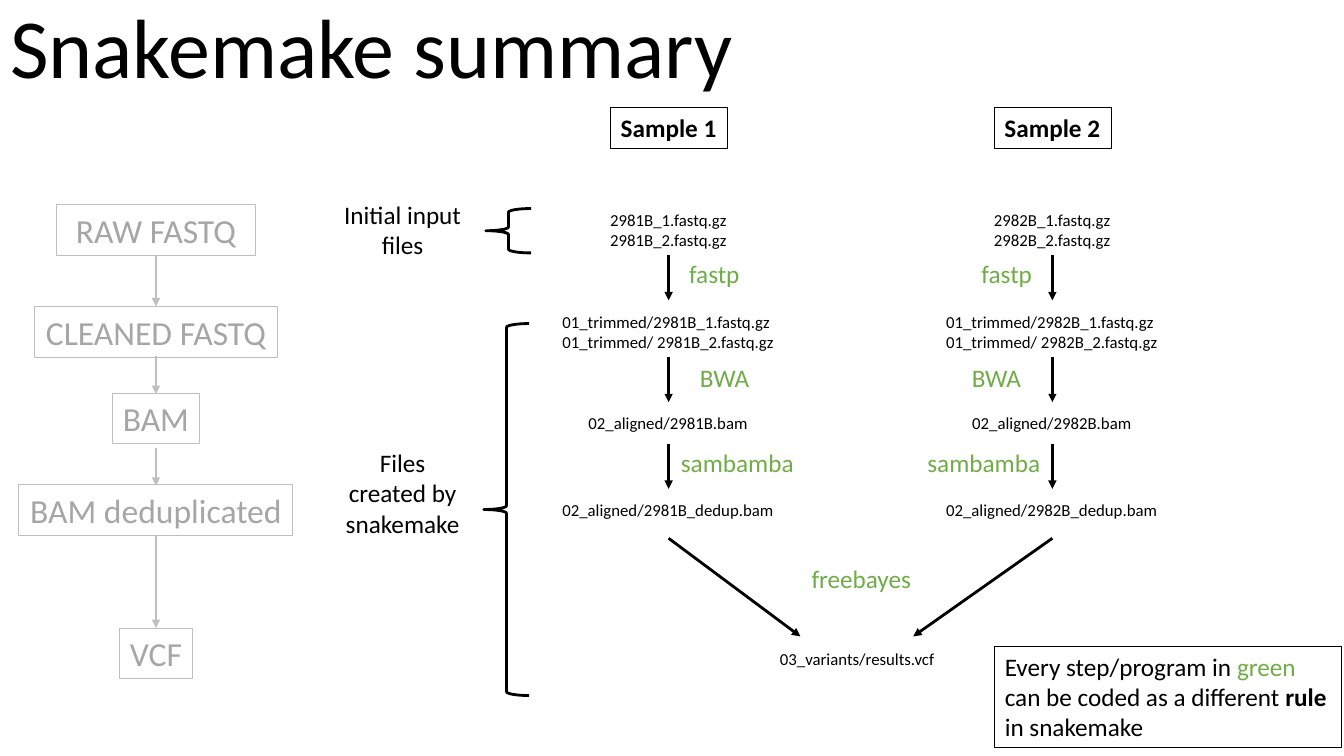
"""Build the Snakemake summary slide."""
import dataclasses
from typing import Optional

import pptx
import pptx.dml.color
import pptx.enum.shapes
import pptx.enum.text
import pptx.oxml
import pptx.oxml.ns
import pptx.shapes.base
import pptx.slide
import pptx.text.text
import pptx.util

Pt = pptx.util.Pt
Align = pptx.enum.text.PP_ALIGN
Anchor = pptx.enum.text.MSO_ANCHOR
Shape = pptx.enum.shapes.MSO_SHAPE


@dataclasses.dataclass(frozen=True)
class Theme:
    font: str = "Calibri"
    ink: str = "000000"
    tool: str = "70AD47"
    faded_text: str = "A6A6A6"
    faded_line: str = "BFBFBF"
    title: float = 60
    stage: float = 24
    body: float = 18
    file: float = 12
    border: float = 0.75
    stroke: float = 2


THEME = Theme()


@dataclasses.dataclass(frozen=True)
class Run:
    text: str
    size: float = THEME.body
    color: str = THEME.ink
    bold: bool = False


@dataclasses.dataclass(frozen=True)
class Label:
    center: float
    top: float
    width: float
    height: float
    paragraphs: tuple[tuple[Run, ...], ...]
    align: Align = Align.LEFT
    wrap: bool = False
    border: Optional[str] = None


@dataclasses.dataclass(frozen=True)
class Arrow:
    x1: float
    y1: float
    x2: float
    y2: float
    color: str = THEME.ink


@dataclasses.dataclass(frozen=True)
class Step:
    top: float
    width: float
    files: tuple[str, ...]


@dataclasses.dataclass(frozen=True)
class Tool:
    name: str
    top: float
    arrow_top: float
    offset: float


@dataclasses.dataclass(frozen=True)
class Sample:
    name: str
    code: str
    center: float
    side: int
    merge_x: float


@dataclasses.dataclass(frozen=True)
class Stage:
    name: str
    top: float
    width: float


@dataclasses.dataclass(frozen=True)
class Bracket:
    text: str
    text_top: float
    text_height: float
    left: float
    top: float
    height: float


STEPS = (
    Step(146.2, 98.6, ("{}_1.fastq.gz", "{}_2.fastq.gz")),
    Step(218.9, 167, ("01_trimmed/{}_1.fastq.gz", "01_trimmed/ {}_2.fastq.gz")),
    Step(291.6, 129.6, ("02_aligned/{}.bam",)),
    Step(353.5, 167, ("02_aligned/{}_dedup.bam",)),
)
TOOLS = (
    Tool("fastp", 180.7, 182.2, 32.6),
    Tool("BWA", 254.9, 254.9, 40),
    Tool("sambamba", 316.1, 316.8, 49),
)
SAMPLES = (
    Sample("Sample 1", "2981B", 477.6, 1, 571.7),
    Sample("Sample 2", "2982B", 751.7, -1, 652.3),
)
STAGES = (
    Stage("RAW FASTQ", 146.2, 142.6),
    Stage("CLEANED FASTQ", 218.9, 173.5),
    Stage("BAM", 280.8, 61.9),
    Stage("BAM deduplicated", 346.3, 195.8),
    Stage("VCF", 448.6, 51.8),
)
STAGE_X = 111.4
STAGE_ARROWS = ((182.2, 218.9), (254.2, 281.5), (319.7, 347), (383, 448.6))
BRACKETS = (
    Bracket("Files created by snakemake", 316.1, 72.7, 345.6, 231.1, 265.7),
    Bracket("Initial input files", 139, 50.9, 347, 149, 31.7),
)


def rgb(color: str) -> pptx.dml.color.RGBColor:
    """Return the colour for a hex string."""
    return pptx.dml.color.RGBColor.from_string(color)


def add_run(p: pptx.text.text._Paragraph, run: Run) -> None:
    """Append one formatted run to a paragraph."""
    r = p.add_run()
    r.text = run.text
    r.font.name = THEME.font
    r.font.size = Pt(run.size)
    r.font.bold = run.bold
    r.font.color.rgb = rgb(run.color)


def add_label(s: pptx.slide.Slide, label: Label) -> None:
    """Draw a text label, with a frame when it has a border."""
    box = (Pt(label.center - label.width / 2), Pt(label.top), Pt(label.width), Pt(label.height))
    if label.border:
        sp = s.shapes.add_shape(Shape.RECTANGLE, *box)
        sp.shadow.inherit = False
        sp.fill.background()
        sp.line.color.rgb = rgb(label.border)
        sp.line.width = Pt(THEME.border)
    else:
        sp = s.shapes.add_textbox(*box)
    tf = sp.text_frame
    tf.word_wrap = label.wrap
    tf.auto_size = pptx.enum.text.MSO_AUTO_SIZE.SHAPE_TO_FIT_TEXT
    tf.vertical_anchor = Anchor.TOP
    for i, runs in enumerate(label.paragraphs):
        p = tf.add_paragraph() if i else tf.paragraphs[0]
        p.alignment = label.align
        for run in runs:
            add_run(p, run)


def add_arrow(s: pptx.slide.Slide, arrow: Arrow) -> None:
    """Draw a straight line with a triangular head at its end."""
    cx = s.shapes.add_connector(
        pptx.enum.shapes.MSO_CONNECTOR.STRAIGHT,
        Pt(arrow.x1), Pt(arrow.y1), Pt(arrow.x2), Pt(arrow.y2))
    cx.line.color.rgb = rgb(arrow.color)
    cx.line.width = Pt(THEME.stroke)
    ns = pptx.oxml.ns.nsdecls("a")
    cx.line._get_or_add_ln().append(pptx.oxml.parse_xml(f'<a:tailEnd {ns} type="triangle"/>'))
    cx._element.spPr.append(pptx.oxml.parse_xml(f"<a:effectLst {ns}/>"))


def add_title(s: pptx.slide.Slide, text: str) -> None:
    """Place and format the slide title."""
    sp = s.shapes.title
    sp.left, sp.top, sp.width, sp.height = Pt(0), Pt(0), Pt(960), Pt(72.7)
    tf = sp.text_frame
    tf.vertical_anchor = Anchor.BOTTOM
    tf.word_wrap = True
    tf.auto_size = pptx.enum.text.MSO_AUTO_SIZE.SHAPE_TO_FIT_TEXT
    p = tf.paragraphs[0]
    p.alignment = Align.LEFT
    p.line_spacing = 0.9
    add_run(p, Run(text, THEME.title))


def add_tool(s: pptx.slide.Slide, name: str, center: float, top: float) -> None:
    """Write a program name in the tool colour."""
    add_label(s, Label(center, top, 107, 29.1, ((Run(name, color=THEME.tool),),), Align.CENTER))


def add_sample(s: pptx.slide.Slide, sample: Sample) -> None:
    """Draw one sample column from its heading to the merging arrow."""
    heading = ((Run(sample.name, bold=True),),)
    add_label(s, Label(sample.center + 0.5, 77, 83.5, 29.1, heading, border=THEME.ink))
    for step in STEPS:
        lines = tuple((Run(f.format(sample.code), THEME.file),) for f in step.files)
        add_label(s, Label(sample.center + 0.5, step.top, step.width, 7.2 + 14.6 * len(lines), lines))
    for tool in TOOLS:
        add_arrow(s, Arrow(sample.center, tool.arrow_top, sample.center, tool.arrow_top + 32.4))
        add_tool(s, tool.name, sample.center + sample.side * tool.offset, tool.top)
    add_arrow(s, Arrow(sample.center, 384.5, sample.merge_x, 454.6))


def add_bracket(s: pptx.slide.Slide, bracket: Bracket) -> None:
    """Draw a brace with its caption to the left."""
    add_label(s, Label(287.6, bracket.text_top, 103, bracket.text_height,
                       ((Run(bracket.text),),), Align.CENTER, wrap=True))
    sp = s.shapes.add_shape(Shape.LEFT_BRACE, Pt(bracket.left), Pt(bracket.top),
                            Pt(32.4), Pt(bracket.height))
    sp.shadow.inherit = False
    sp.fill.background()
    sp.line.color.rgb = rgb(THEME.ink)
    sp.line.width = Pt(THEME.stroke)


def main() -> None:
    """Build and save the presentation."""
    prs = pptx.Presentation()
    prs.slide_width, prs.slide_height = Pt(960), Pt(540)
    s = prs.slides.add_slide(prs.slide_layouts.get_by_name("Title Only"))
    add_title(s, "Snakemake summary")
    for sample in SAMPLES:
        add_sample(s, sample)
    add_tool(s, "freebayes", 615.2, 398.9)
    add_label(s, Label(613, 460.1, 126, 21.8, ((Run("03_variants/results.vcf", THEME.file),),)))
    for stage in STAGES:
        text = ((Run(stage.name, THEME.stage, THEME.faded_text),),)
        add_label(s, Label(STAGE_X, stage.top, stage.width, 36.3, text,
                           Align.CENTER, border=THEME.faded_line))
    for top, bottom in STAGE_ARROWS:
        add_arrow(s, Arrow(STAGE_X, top, STAGE_X, bottom, THEME.faded_line))
    note = (Run("Every step/program in "), Run("green", color=THEME.tool),
            Run(" can be coded as a different "), Run("rule", bold=True), Run(" in snakemake"))
    add_label(s, Label(834.5, 461.5, 247.7, 72.7, (note,), wrap=True, border=THEME.ink))
    for bracket in BRACKETS:
        add_bracket(s, bracket)
    prs.save("out.pptx")


if __name__ == "__main__":
    main()
